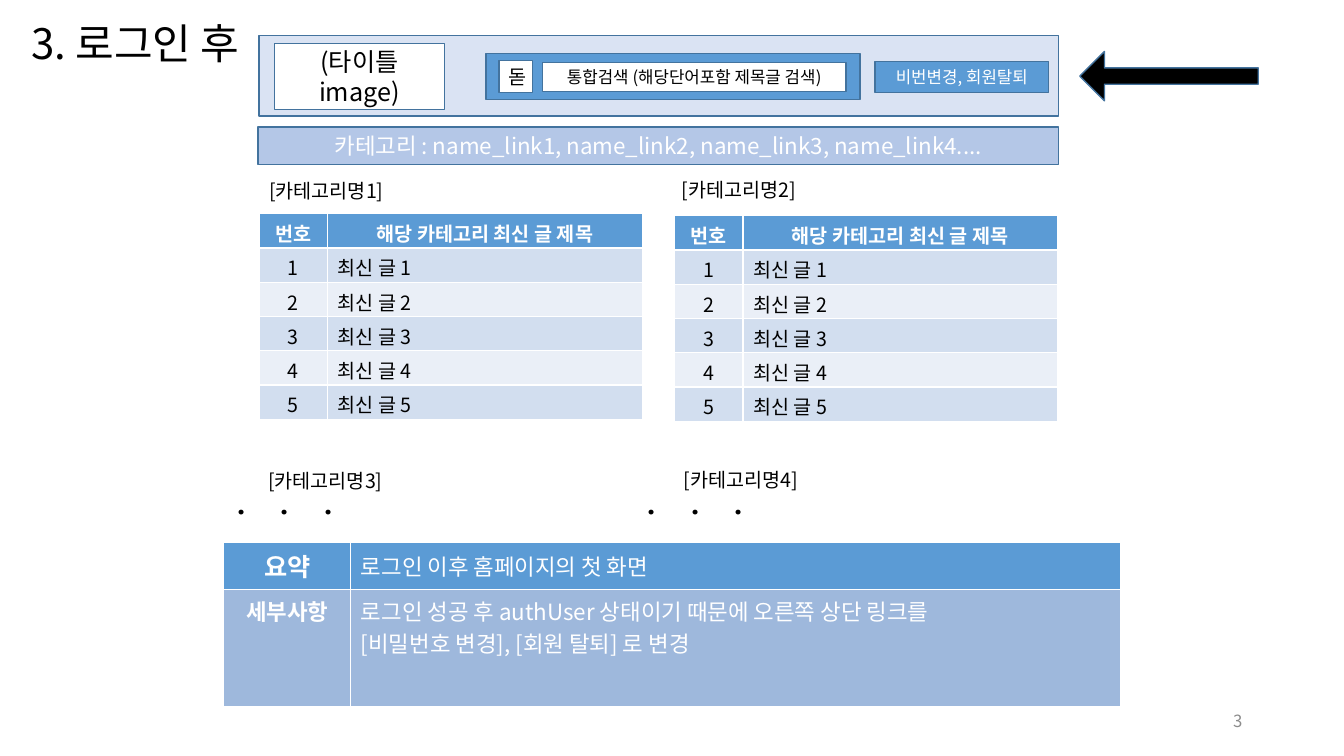
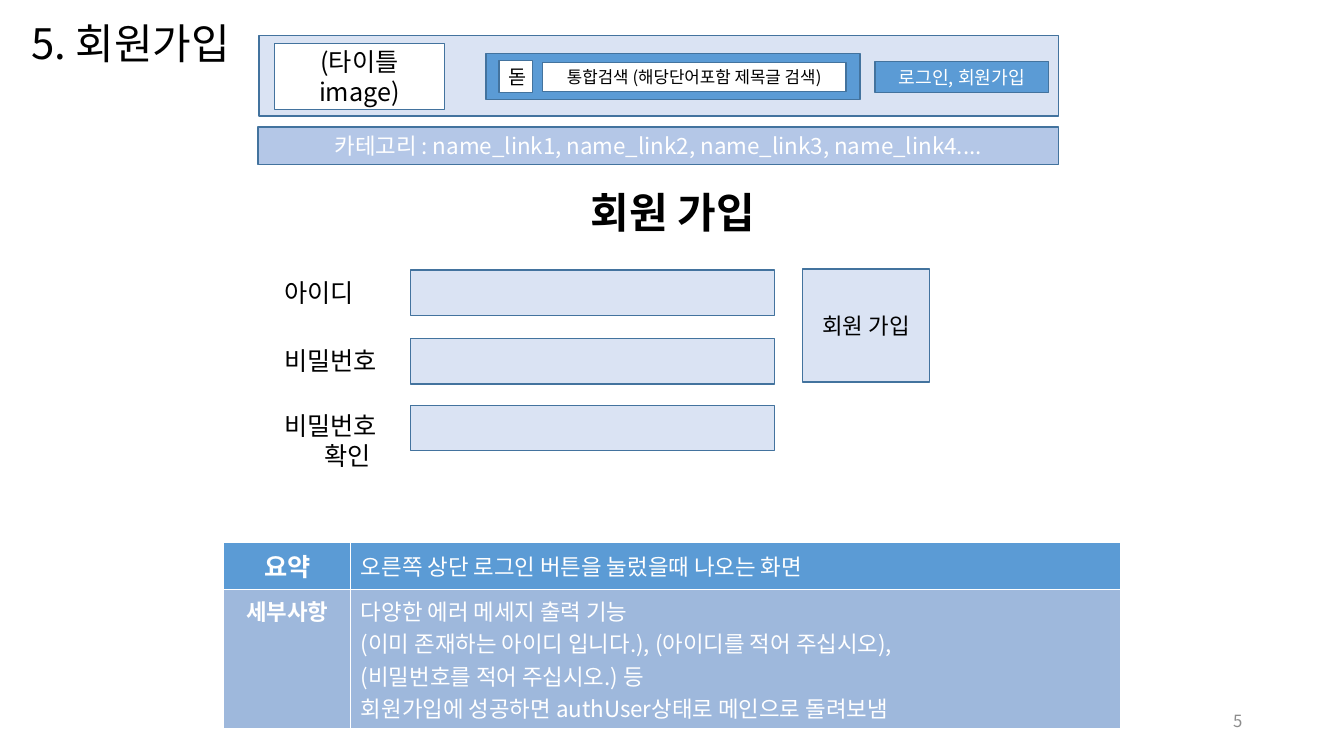
from lxml import etree
from pptx import Presentation
from pptx.dml.color import RGBColor
from pptx.enum import shapes, text
from pptx.oxml.ns import qn
from pptx.util import Inches, Pt

FONT = "Noto Sans CJK KR"
C = {"black": "000000", "white": "FFFFFF", "blue": "5B9BD5", "edge": "43739E",
     "pale": "DAE3F3", "menu": "B4C7E7", "detail": "9EB8DC",
     "odd": "D2DEEF", "even": "EAEFF7", "gray": "8C8C8C"}
RECT = shapes.MSO_SHAPE.RECTANGLE
FIELD = shapes.MSO_SHAPE.FLOWCHART_PROCESS
ARROW = shapes.MSO_SHAPE.LEFT_ARROW
LEFT, CENTER = text.PP_ALIGN.LEFT, text.PP_ALIGN.CENTER
RIGHT, JUSTIFY = text.PP_ALIGN.RIGHT, text.PP_ALIGN.JUSTIFY
TOP, MIDDLE = text.MSO_ANCHOR.TOP, text.MSO_ANCHOR.MIDDLE

HOME = {
    "title": "3. 로그인 후", "number": "3",
    "links": "비번변경, 회원탈퇴", "links_size": 12,
    "summary": "로그인 이후 홈페이지의 첫 화면",
    "details": ["로그인 성공 후 authUser 상태이기 때문에 오른쪽 상단 링크를",
                "[비밀번호 변경], [회원 탈퇴] 로 변경"],
    "detail_height": 1.16,
}
JOIN = {
    "title": "5. 회원가입", "number": "5",
    "links": "로그인, 회원가입", "links_size": 13,
    "summary": "오른쪽 상단 로그인 버튼을 눌렀을때 나오는 화면",
    "details": ["다양한 에러 메세지 출력 기능",
                "(이미 존재하는 아이디 입니다.), (아이디를 적어 주십시오),",
                "(비밀번호를 적어 주십시오.) 등",
                "회원가입에 성공하면 authUser상태로 메인으로 돌려보냄"],
    "detail_height": 1.38,
}
HEADER = [
    ((2.57, 0.35, 7.93, 0.8), "pale", "", 18, "black"),
    ((2.72, 0.43, 1.69, 0.66), "white", "(타이틀 image)", 18, "black"),
    ((4.82, 0.53, 3.71, 0.46), "blue", "", 18, "black"),
    ((4.95, 0.6, 0.33, 0.32), "white", "돋", 14, "black"),
    ((5.38, 0.62, 3.01, 0.29), "white", "통합검색 (해당단어포함 제목글 검색)", 12, "black"),
    ((2.56, 1.26, 7.94, 0.37), "menu",
     "카테고리 : name_link1, name_link2, name_link3, name_link4....", 16, "white"),
]
LINKS_BOX = (8.68, 0.61, 1.72, 0.31)
POST_HEAD = ["번호", "해당 카테고리 최신 글 제목"]
POSTS = [[str(i), f"최신 글 {i}"] for i in range(1, 6)]
CATEGORIES = [("[카테고리명1]", 2.57, 1.73), ("[카테고리명2]", 6.66, 1.72),
              ("[카테고리명3]", 2.56, 4.6), ("[카테고리명4]", 6.68, 4.59)]
POST_TABLES = [(2.57, 2.12), (6.69, 2.14)]
MORE_DOTS = [2.65, 6.72]
FIELDS = [(["아이디"], 2.7, 2.68), (["비밀번호"], 3.38, 3.36),
          (["비밀번호", "확인"], 4.02, 4.02)]


def rgb(name):
    return RGBColor.from_string(C[name])


def write(tf, lines, size=14, color="black", bold=False, align=LEFT, anchor=TOP, spacing=None):
    tf.word_wrap = True
    tf.vertical_anchor = anchor
    for i, line in enumerate([lines] if isinstance(lines, str) else lines):
        p = tf.paragraphs[0] if i == 0 else tf.add_paragraph()
        p.alignment = align
        p.line_spacing = spacing
        r = p.add_run()
        r.text = line
        r.font.size, r.font.bold, r.font.name = Pt(size), bold, FONT
        r.font.color.rgb = rgb(color)
        etree.SubElement(r.font._element, qn("a:ea"), typeface=FONT)


def add_text(s, box, lines, **fmt):
    sp = s.shapes.add_textbox(*map(Inches, box))
    write(sp.text_frame, lines, **fmt)
    return sp


def add_box(s, box, fill, label="", size=18, color="black", kind=RECT):
    sp = s.shapes.add_shape(kind, *map(Inches, box))
    sp.shadow.inherit = False
    sp.fill.solid()
    sp.fill.fore_color.rgb = rgb(fill)
    sp.line.color.rgb = rgb("edge")
    sp.line.width = Pt(1)
    if label:
        write(sp.text_frame, label, size=size, color=color, align=CENTER, anchor=MIDDLE)
    return sp


def style_cell(cell, fill):
    cell.fill.solid()
    cell.fill.fore_color.rgb = rgb(fill)
    tc_pr = cell._tc.get_or_add_tcPr()
    for i, side in enumerate("LRTB"):
        ln = etree.Element(qn(f"a:ln{side}"), w=str(Pt(1)))
        paint = etree.SubElement(ln, qn("a:solidFill"))
        etree.SubElement(paint, qn("a:srgbClr"), val=C["white"])
        tc_pr.insert(i, ln)


def add_table(s, left, top, widths, heights):
    box = (left, top, sum(widths), sum(heights))
    table = s.shapes.add_table(len(heights), len(widths), *map(Inches, box)).table
    for col, width in zip(table.columns, widths):
        col.width = Inches(width)
    for row, height in zip(table.rows, heights):
        row.height = Inches(height)
    return table


def add_summary(s, page):
    table = add_table(s, 2.22, 5.38, [1.26, 7.63], [0.47, page["detail_height"]])
    rows = [("요약", page["summary"], 18, "blue", MIDDLE),
            ("세부사항", page["details"], 16, "detail", TOP)]
    for i, (label, body, size, fill, anchor) in enumerate(rows):
        head, cell = table.cell(i, 0), table.cell(i, 1)
        for c in (head, cell):
            style_cell(c, fill)
            c.vertical_anchor = anchor
        write(head.text_frame, label, size=size, color="white", bold=True,
              align=CENTER, anchor=anchor)
        write(cell.text_frame, body, size=16, color="white", anchor=anchor)


def add_posts(s, left, top):
    table = add_table(s, left, top, [0.68, 3.12], [0.34] * (len(POSTS) + 1))
    for i, row in enumerate([POST_HEAD] + POSTS):
        head = i == 0
        fill = "blue" if head else "odd" if i % 2 else "even"
        for j, label in enumerate(row):
            cell = table.cell(i, j)
            style_cell(cell, fill)
            write(cell.text_frame, label, color="white" if head else "black",
                  bold=head, align=CENTER if head or j == 0 else JUSTIFY)


def add_dots(s, left):
    tf = add_text(s, (left, 4.94, 1, 0.39), "...", size=26).text_frame
    tf.margin_left = tf.margin_right = tf.margin_top = tf.margin_bottom = Inches(0.05)
    tf._txBody.bodyPr.set("vert", "eaVert")


def add_page(prs, page):
    s = prs.slides.add_slide(prs.slide_layouts[5])
    title = s.shapes.title
    title.left, title.top, title.width, title.height = map(Inches, (0.21, 0.16, 2.69, 0.6))
    write(title.text_frame, page["title"], size=30, anchor=MIDDLE, spacing=0.9)
    title.text_frame.auto_size = text.MSO_AUTO_SIZE.NONE
    add_text(s, (9.42, 6.95, 3, 0.4), page["number"], size=12, color="gray",
             align=RIGHT, anchor=MIDDLE)
    add_summary(s, page)
    for item in HEADER:
        add_box(s, *item)
    add_box(s, LINKS_BOX, "blue", page["links"], page["links_size"], "white")
    return s


def build_home(prs):
    s = add_page(prs, HOME)
    for label, left, top in CATEGORIES:
        add_text(s, (left, top, 3.05, 0.34), label)
    for left, top in POST_TABLES:
        add_posts(s, left, top)
    for left in MORE_DOTS:
        add_dots(s, left)
    arrow = add_box(s, (10.71, 0.51, 1.77, 0.49), "black", kind=ARROW)
    arrow.adjustments[0] = 0.33


def build_join(prs):
    s = add_page(prs, JOIN)
    add_text(s, (4.59, 1.8, 4.17, 0.61), "회원 가입", size=30, bold=True, align=CENTER)
    for lines, label_top, field_top in FIELDS:
        sp = add_text(s, (2.72, label_top, 2.53, 0.4 if len(lines) == 1 else 0.71),
                      lines, size=18)
        for p in sp.text_frame.paragraphs[1:]:
            p._p.get_or_add_pPr().set("marL", str(Inches(0.4)))
        add_box(s, (4.07, field_top, 3.61, 0.45), "pale", kind=FIELD)
    add_box(s, (7.96, 2.67, 1.26, 1.12), "pale", "회원 가입", 16)


def main():
    prs = Presentation()
    prs.slide_width, prs.slide_height = Inches(13.33), Inches(7.5)
    build_home(prs)
    build_join(prs)
    prs.save("out.pptx")


if __name__ == "__main__":
    main()
